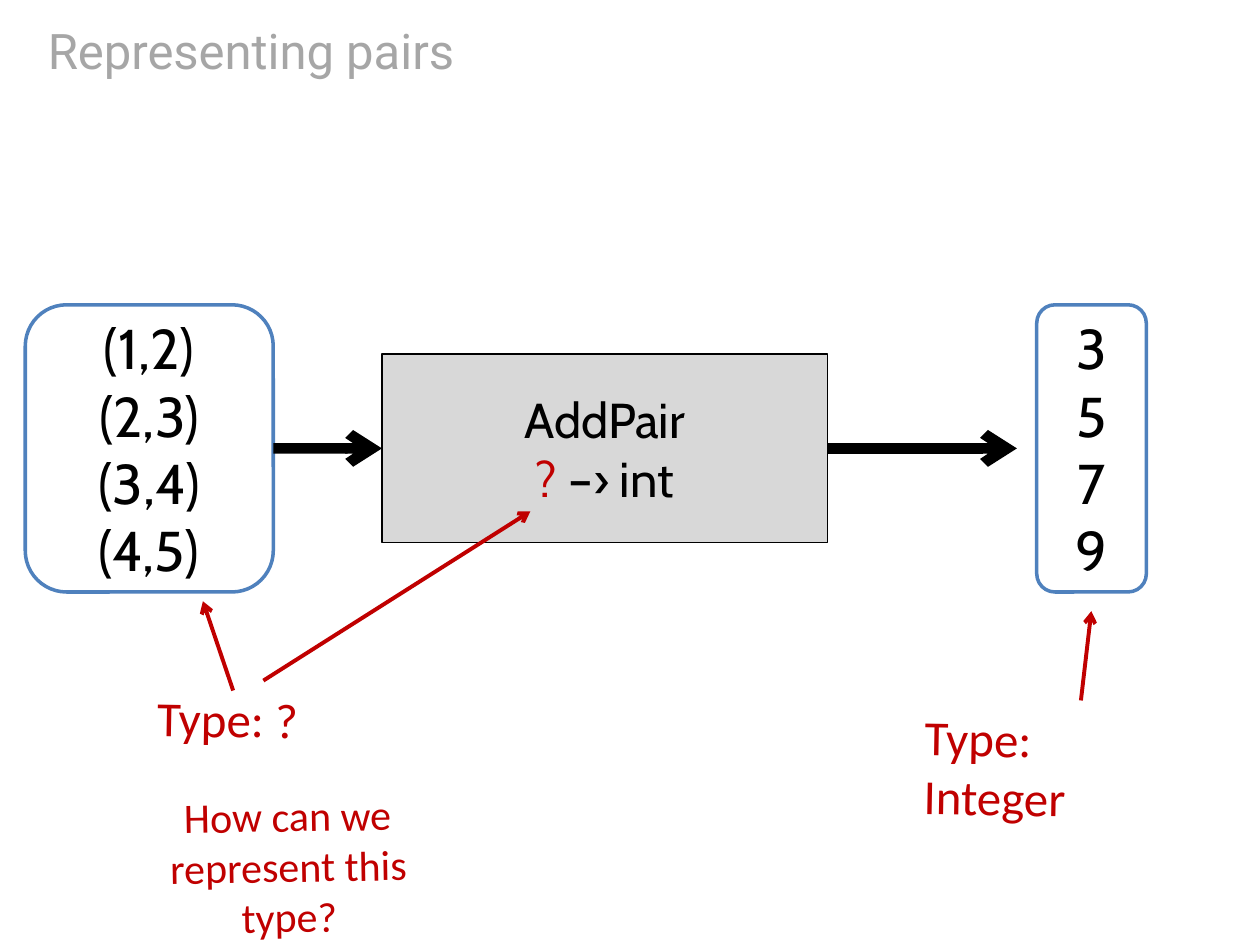
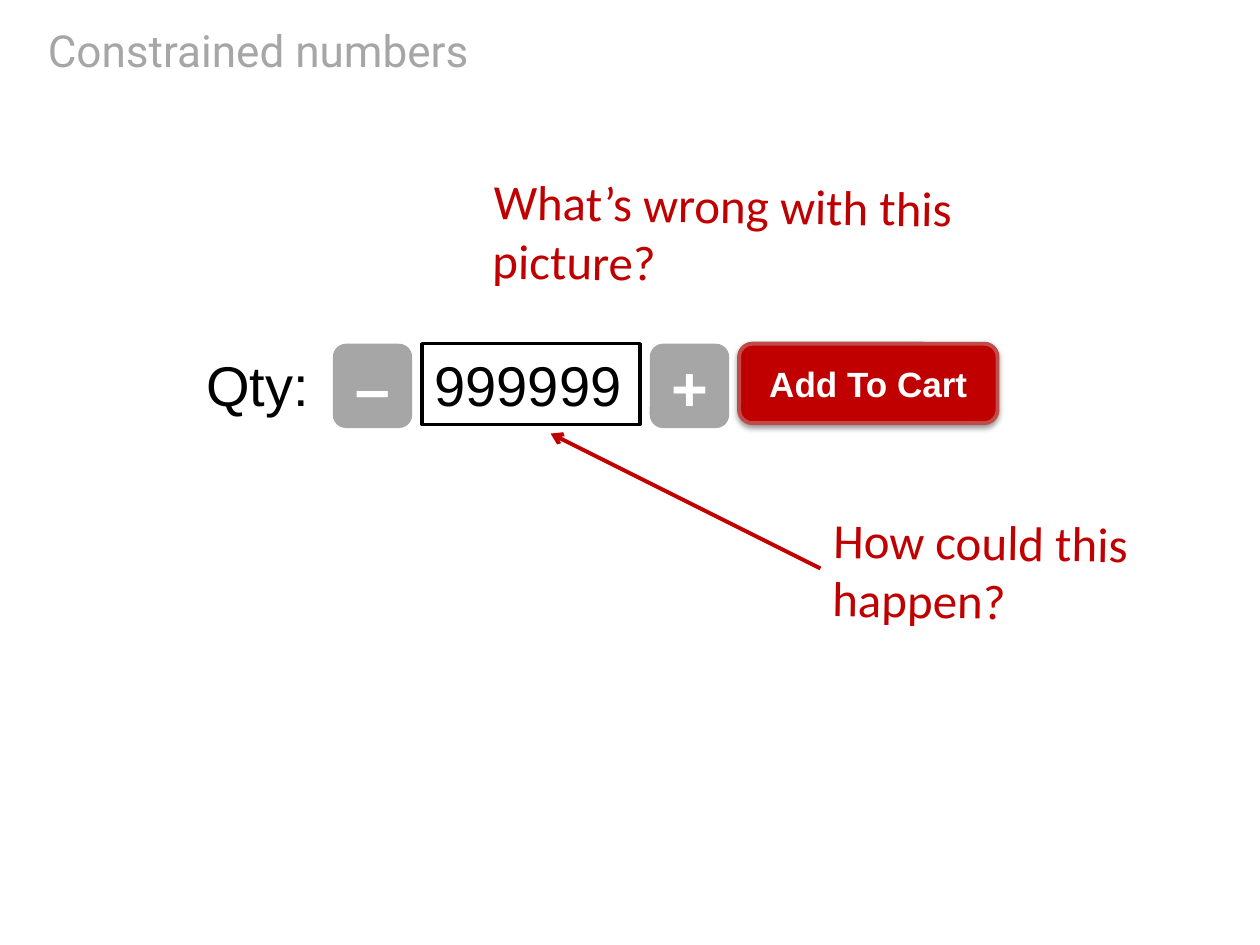
from lxml.etree import SubElement
from pptx import Presentation
from pptx.dml.color import RGBColor
from pptx.enum.shapes import MSO_CONNECTOR, MSO_SHAPE
from pptx.enum.text import MSO_ANCHOR, MSO_AUTO_SIZE, PP_ALIGN
from pptx.oxml.ns import qn
from pptx.util import Cm, Pt

RED, BLUE, BLACK, WHITE = "C00000", "4F81BD", "000000", "FFFFFF"
GREY, PALE_GREY, DULL_RED = "A6A6A6", "D8D8D8", "BF4C48"
LEFT, CENTER = PP_ALIGN.LEFT, PP_ALIGN.CENTER
ROUND, RECT = MSO_SHAPE.ROUNDED_RECTANGLE, MSO_SHAPE.RECTANGLE

# Fonts
TITLE = dict(name="Roboto", size=28, color=GREY)
VALUES = dict(name="Cabin", size=32, color=BLACK)
FUNCTION = dict(name="Cabin", size=28, color=BLACK)
NOTE = dict(name="Calibri", size=28, color=RED)
SMALL_NOTE = dict(NOTE, size=24)
FIELD = dict(name="Arial", size=32, color=BLACK)
STEP = dict(name="Arial", size=36, color=WHITE, bold=True)
CART = dict(STEP, size=20)

# Lengths are in centimetres
TITLE_BOX = (0.71, 0.33, 24, 1.37)

FLOW_MIDDLE = 9.04
FLOW_END = 20.5
# left, width, height, shape, fill, line, line width, font, paragraphs
FLOW = [
    (0.51, 5, 5.79, ROUND, WHITE, BLUE, 2, VALUES,
     ["(1,2)", "(2,3)", "(3,4)", "(4,5)"]),
    (7.7, 8.99, 3.81, RECT, PALE_GREY, BLACK, 0.75, FUNCTION,
     [["AddPair", "\n", ("? ", RED), "–› int"]]),
    (20.9, 2.21, 5.79, ROUND, WHITE, BLUE, 2, VALUES, ["3", "5", "7", "9"]),
]

# text, box, rotation, font, alignment
PAIR_NOTES = [
    ("Type: ?", (2.92, 13.79, 7.09, 1.45), 1, NOTE, LEFT),
    ("Type: Integer", (18.39, 14.17, 5.69, 1.45), 1, NOTE, LEFT),
    ("How can we represent this type?", (2.31, 15.8, 6.99, 2.31), -1,
     SMALL_NOTE, CENTER),
]
# from x, from y, to x, to y
PAIR_POINTERS = [
    (4.7, 13.92, 4.09, 12.12),
    (5.31, 13.72, 10.69, 10.31),
    (21.79, 14.12, 22, 12.32),
]

NUMBER_NOTES = [
    ("How could this happen?", (16.54, 10.19, 6.48, 2.64), 1, NOTE, LEFT),
    ("What’s wrong with this picture?", (9.7, 3.43, 12.98, 1.45), 1, NOTE, LEFT),
]
NUMBER_POINTERS = [(16.54, 11.46, 11.1, 8.74)]

ROW_LEFT, ROW_TOP, ROW_GAP = 3.91, 6.93, 0.2
# text, width, height, shape, fill, line, line width, font, alignment, inset
ORDER_ROW = [
    ("Qty:", 2.6, 1.63, RECT, WHITE, None, 0, FIELD, LEFT, True),
    ("–", 1.6, 1.7, ROUND, GREY, None, 0, STEP, CENTER, False),
    ("999999", 4.39, 1.63, RECT, WHITE, BLACK, 2, FIELD, LEFT, True),
    ("+", 1.6, 1.7, ROUND, GREY, None, 0, STEP, CENTER, False),
    ("Add To Cart", 5.21, 1.6, ROUND, RED, DULL_RED, 2.25, CART, CENTER, True),
]


def rgb(color):
    return RGBColor.from_string(color)


def cm(values):
    return [Cm(v) for v in values]


def style(font, fmt):
    for key, value in fmt.items():
        if key == "color":
            font.color.rgb = rgb(value)
        else:
            setattr(font, key, Pt(value) if key == "size" else value)


def write(tf, paragraphs, fmt, align):
    """Fill a frame; a paragraph is a string or a list of runs and breaks."""
    for i, runs in enumerate(paragraphs):
        p = tf.add_paragraph() if i else tf.paragraphs[0]
        p.alignment = align
        for run in [runs] if isinstance(runs, str) else runs:
            if run == "\n":
                p.add_line_break()
                continue
            text, color = (run, fmt["color"]) if isinstance(run, str) else run
            r = p.add_run()
            r.text = text
            style(r.font, dict(fmt, color=color))


def add_titled_slide(prs, title, size):
    slide = prs.slides.add_slide(prs.slide_layouts[5])
    sp = slide.shapes.title
    sp.left, sp.top, sp.width, sp.height = cm(TITLE_BOX)
    tf = sp.text_frame
    tf.auto_size = MSO_AUTO_SIZE.NONE
    tf.vertical_anchor = MSO_ANCHOR.MIDDLE
    write(tf, [title], dict(TITLE, size=size), LEFT)
    return slide


def add_box(slide, box, shape, fill, line, width, fmt, paragraphs,
            align=CENTER, inset=True):
    sp = slide.shapes.add_shape(shape, *cm(box))
    sp.shadow.inherit = False
    sp.fill.solid()
    sp.fill.fore_color.rgb = rgb(fill)
    if line:
        sp.line.color.rgb = rgb(line)
        sp.line.width = Pt(width)
    else:
        sp.line.fill.background()
    tf = sp.text_frame
    tf.word_wrap = True
    tf.vertical_anchor = MSO_ANCHOR.MIDDLE
    if not inset:
        for side in ("left", "top", "right", "bottom"):
            setattr(tf, f"margin_{side}", 0)
    write(tf, paragraphs, fmt, align)
    return sp


def add_note(slide, text, box, rotation, fmt, align):
    sp = slide.shapes.add_textbox(*cm(box))
    sp.rotation = rotation
    tf = sp.text_frame
    tf.word_wrap = True
    tf.auto_size = MSO_AUTO_SIZE.SHAPE_TO_FIT_TEXT
    write(tf, [text], fmt, align)


def add_arrow(slide, ends, color=RED, width=2.25):
    arrow = slide.shapes.add_connector(MSO_CONNECTOR.STRAIGHT, *cm(ends))
    arrow.line.color.rgb = rgb(color)
    arrow.line.width = Pt(width)
    SubElement(arrow.line._get_or_add_ln(), qn("a:tailEnd"), type="arrow")
    SubElement(arrow._element.spPr, qn("a:effectLst"))
    return arrow


def add_drop_shadow(sp):
    effects = sp._element.spPr.find(qn("a:effectLst"))
    shadow = SubElement(effects, qn("a:outerShdw"), blurRad="40000",
                        dist="20000", dir="5400000", rotWithShape="0")
    color = SubElement(shadow, qn("a:srgbClr"), val=BLACK)
    SubElement(color, qn("a:alpha"), val="38000")


def annotate(slide, notes, pointers):
    for note in notes:
        add_note(slide, *note)
    for ends in pointers:
        add_arrow(slide, ends)


def build_pairs(prs):
    slide = add_titled_slide(prs, "Representing pairs", 28)
    inputs, function, _ = [
        add_box(slide, (left, FLOW_MIDDLE - h / 2, w, h), *look)
        for left, w, h, *look in FLOW]
    flow_line = (0, FLOW_MIDDLE, FLOW_END, FLOW_MIDDLE)
    into, out = [add_arrow(slide, flow_line, BLACK, 6) for _ in range(2)]
    into.begin_connect(inputs, 3)
    into.end_connect(function, 1)
    out.begin_connect(function, 3)
    annotate(slide, PAIR_NOTES, PAIR_POINTERS)


def build_numbers(prs):
    slide = add_titled_slide(prs, "Constrained numbers", 25.2)
    annotate(slide, NUMBER_NOTES, NUMBER_POINTERS)
    left = ROW_LEFT
    for text, w, h, shape, fill, line, width, fmt, align, inset in ORDER_ROW:
        sp = add_box(slide, (left, ROW_TOP, w, h), shape, fill, line, width,
                     fmt, [text], align, inset)
        left += w + ROW_GAP
    add_drop_shadow(sp)


def main():
    prs = Presentation()
    prs.slide_width, prs.slide_height = Cm(25.4), Cm(19.05)
    build_pairs(prs)
    build_numbers(prs)
    prs.save("out.pptx")


if __name__ == "__main__":
    main()
